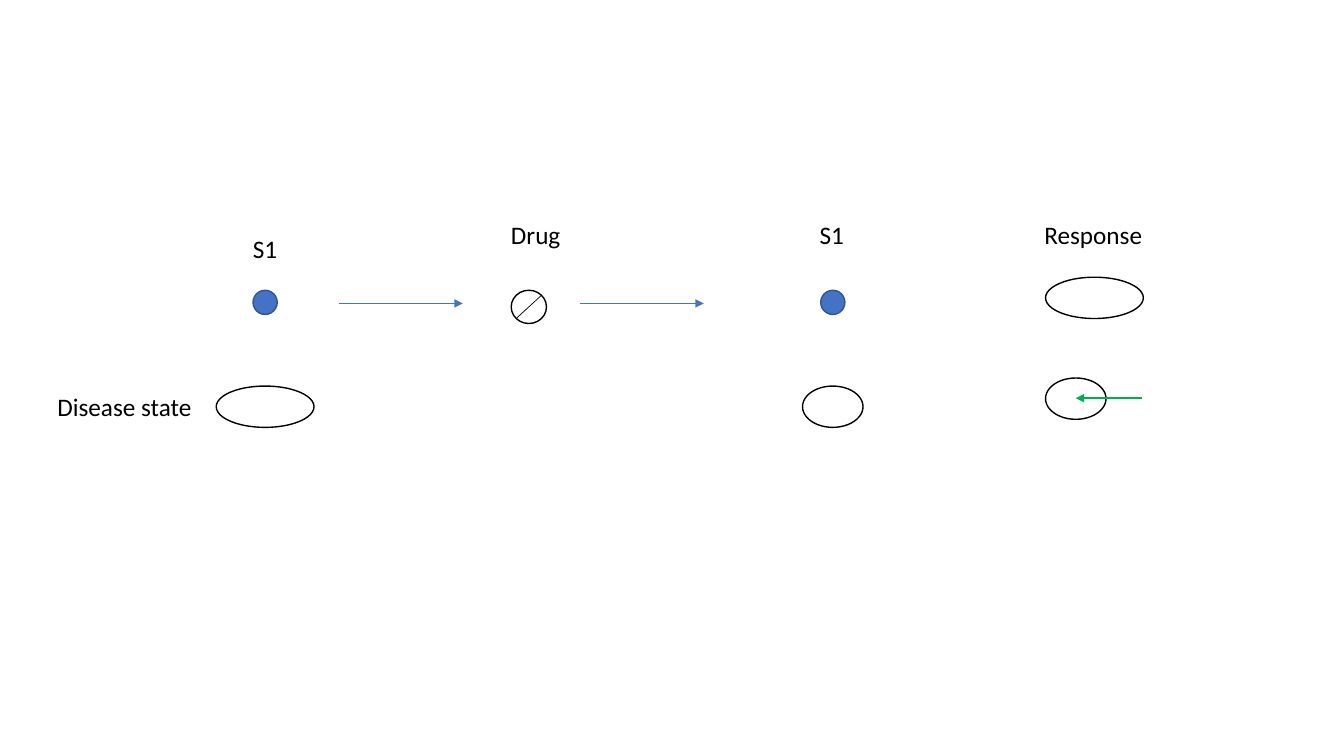
from lxml.etree import SubElement
from pptx import Presentation
from pptx.dml.color import RGBColor
from pptx.enum.shapes import MSO_CONNECTOR, MSO_SHAPE
from pptx.enum.text import MSO_AUTO_SIZE
from pptx.oxml.ns import qn
from pptx.util import Inches, Pt

BLACK, WHITE = "000000", "FFFFFF"
BLUE, DARK_BLUE, GREEN = "4472C4", "325491", "00B050"


def rgb(hex_color):
    return RGBColor.from_string(hex_color)


class Diagram:
    font = "Calibri"
    text_size = 18
    outline_width = 1

    def __init__(self, slide):
        self.shapes = slide.shapes

    def ellipse(self, x, y, w, h, fill=WHITE, line=BLACK):
        sp = self.shapes.add_shape(
            MSO_SHAPE.OVAL, Inches(x), Inches(y), Inches(w), Inches(h))
        sp.shadow.inherit = False
        sp.fill.solid()
        sp.fill.fore_color.rgb = rgb(fill)
        sp.line.color.rgb = rgb(line)
        sp.line.width = Pt(self.outline_width)

    def line(self, x1, y1, x2, y2, color=BLACK, width=0.5, arrow=False):
        cxn = self.shapes.add_connector(
            MSO_CONNECTOR.STRAIGHT,
            Inches(x1), Inches(y1), Inches(x2), Inches(y2))
        cxn.line.color.rgb = rgb(color)
        cxn.line.width = Pt(width)
        if arrow:
            SubElement(cxn.line._get_or_add_ln(), qn("a:tailEnd"), type="triangle")
        SubElement(cxn._element.spPr, qn("a:effectLst"))

    def label(self, text, x, y, w, h=0.4):
        tf = self.shapes.add_textbox(
            Inches(x), Inches(y), Inches(w), Inches(h)).text_frame
        tf.word_wrap = False
        tf.auto_size = MSO_AUTO_SIZE.SHAPE_TO_FIT_TEXT
        p = tf.paragraphs[0]
        p.text = text
        p.font.name = self.font
        p.font.size = Pt(self.text_size)
        p.font.color.rgb = rgb(BLACK)


def main():
    prs = Presentation()
    prs.slide_width, prs.slide_height = Inches(13.33), Inches(7.5)
    d = Diagram(prs.slides.add_slide(prs.slide_layouts[6]))

    wide, narrow, state_height = 0.97, 0.6, 0.41

    # Signal S1 and disease state, before and after the drug
    for center, state_width in ((2.63, wide), (8.26, narrow)):
        d.ellipse(center - 0.12, 2.88, 0.24, 0.24, BLUE, DARK_BLUE)
        d.ellipse(center - state_width / 2, 3.83, state_width, state_height)

    for x in (3.36, 5.75):
        d.line(x, 3.01, x + 1.23, 3.01, BLUE, arrow=True)

    # Drug pill
    d.ellipse(5.07, 2.88, 0.35, 0.33)
    d.line(5.12, 3.16, 5.37, 2.93)

    for text, x, y, w in (
        ("S1", 2.41, 2.27, 0.45),
        ("S1", 8.03, 2.13, 0.45),
        ("Drug", 4.97, 2.13, 0.7),
        ("Disease state", 0.47, 3.83, 1.55),
        ("Response", 10.26, 2.13, 1.18),
    ):
        d.label(text, x, y, w)

    # Response: the wide state shrinks to the narrow one
    for y, w in ((2.75, wide), (3.75, narrow)):
        d.ellipse(10.37, y, w, state_height)
    d.line(11.33, 3.95, 10.67, 3.95, GREEN, 1.5, arrow=True)

    prs.save("out.pptx")


if __name__ == "__main__":
    main()
